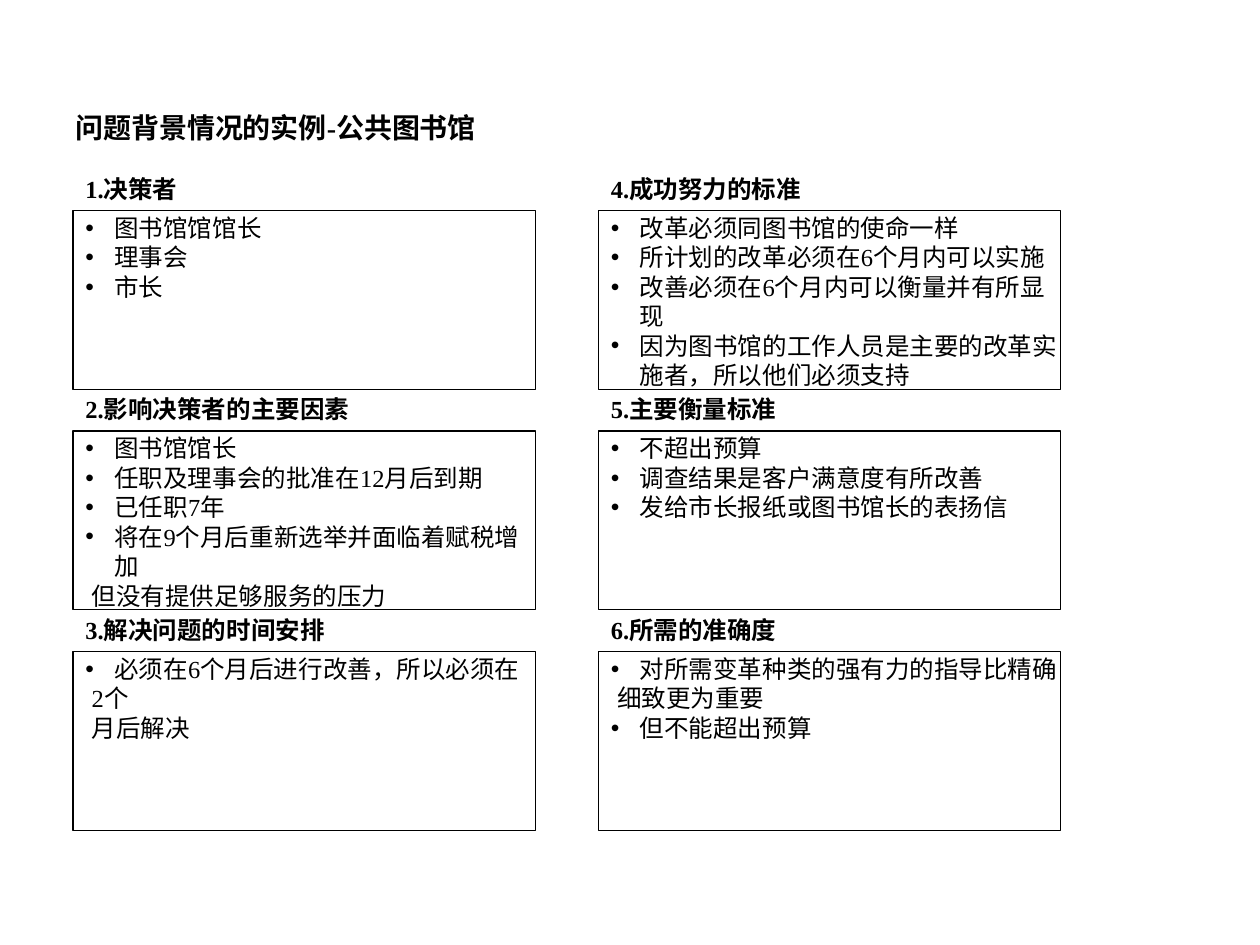
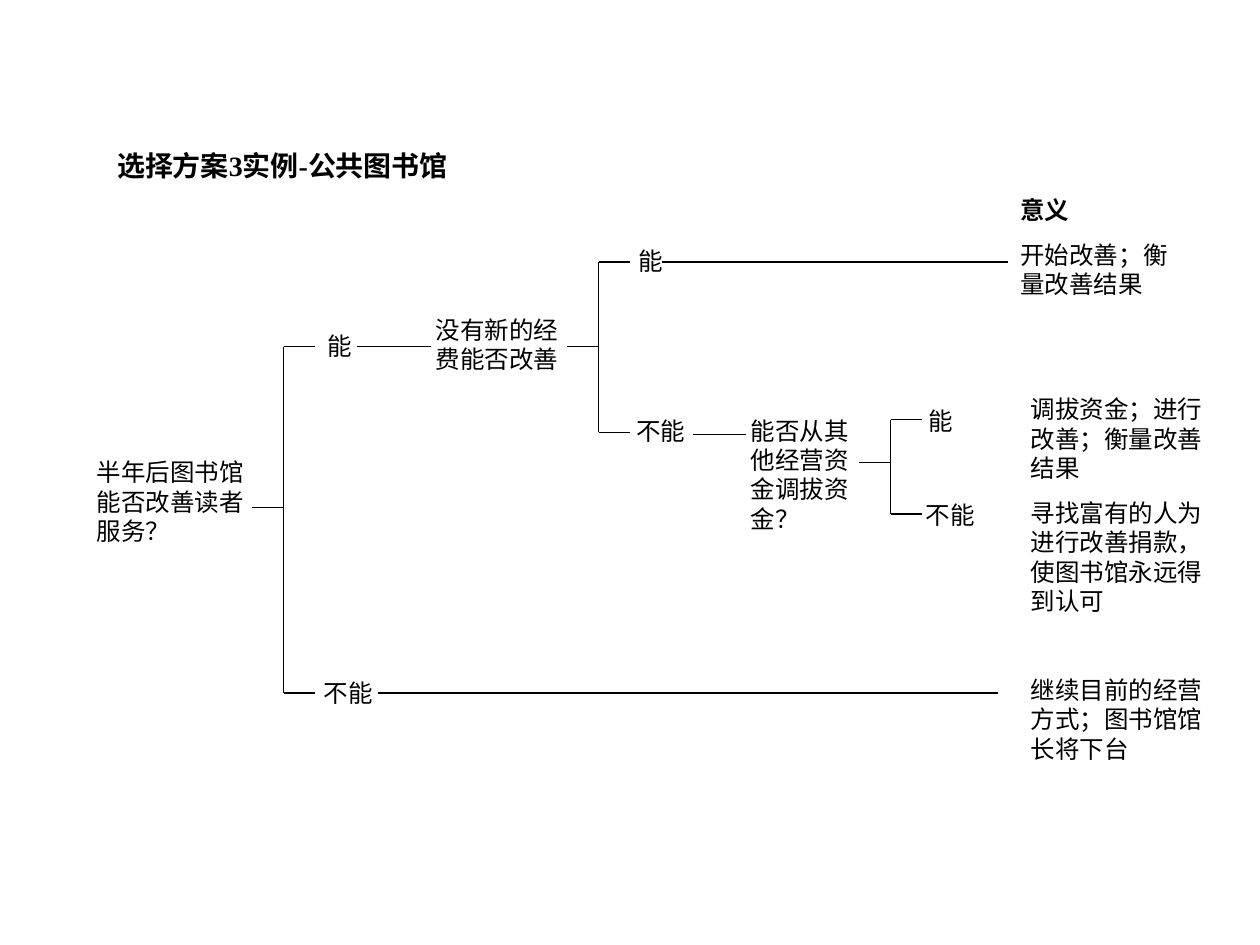
import pptx
import pptx.dml.color
import pptx.enum.shapes
import pptx.enum.text
import pptx.oxml.xmlchemy
import pptx.util
from lxml import etree
from pptx.oxml.ns import qn
from pptx.util import Inches

COLORS = {"ink": "000000"}
FONT = "Times New Roman"
TITLE_SIZE, TEXT_SIZE = 16, 14
LINE_WIDTH = 0.75
PARAGRAPH_GAP = 8.8


class Deck:
    """Holds the shared style and the current slide."""

    def __init__(self):
        self.prs = pptx.Presentation()
        self.prs.slide_width, self.prs.slide_height = Inches(10), Inches(7.5)
        self.ink = pptx.dml.color.RGBColor.from_string(COLORS["ink"])

    def style(self, p, size=TEXT_SIZE, bold=False):
        p.alignment = pptx.enum.text.PP_ALIGN.LEFT
        for r in p.runs:
            r.font.name, r.font.size, r.font.bold = FONT, pptx.util.Pt(size), bold
            r.font.color.rgb = self.ink

    def frame(self, sp):
        tf = sp.text_frame
        tf.word_wrap = True
        tf.auto_size = pptx.enum.text.MSO_AUTO_SIZE.NONE
        tf.vertical_anchor = pptx.enum.text.MSO_ANCHOR.TOP
        return tf

    def slide(self, title, x, y, w):
        self.s = self.prs.slides.add_slide(self.prs.slide_layouts[5])
        sp = self.s.shapes.title
        sp.left, sp.top, sp.width, sp.height = Inches(x), Inches(y), Inches(w), Inches(0.37)
        tf = self.frame(sp)
        tf.text = title
        self.style(tf.paragraphs[0], TITLE_SIZE, True)

    def text(self, x, y, w, h, *lines, bold=False, gaps=()):
        """Text box; the first line is bold if asked, gaps go before later lines."""
        sp = self.s.shapes.add_textbox(Inches(x), Inches(y), Inches(w), Inches(h))
        tf = self.frame(sp)
        tf.text = "\n".join(lines)
        for i, p in enumerate(tf.paragraphs):
            self.style(p, bold=bold and i == 0)
        for p, gap in zip(tf.paragraphs[1:], gaps):
            p.space_before = pptx.util.Pt(gap)
        return sp

    def list_box(self, x, y, w, h, items):
        """Outlined box of (text, has bullet) items."""
        sp = self.s.shapes.add_shape(pptx.enum.shapes.MSO_SHAPE.RECTANGLE,
                                     Inches(x), Inches(y), Inches(w), Inches(h))
        sp.shadow.inherit = False
        sp.fill.background()
        sp.line.color.rgb, sp.line.width = self.ink, pptx.util.Pt(LINE_WIDTH)
        tf = self.frame(sp)
        tf.margin_top = tf.margin_right = Inches(0.02)
        tf.margin_bottom = 0
        tf.text = "\n".join(text for text, _ in items)
        for p, (_, bullet) in zip(tf.paragraphs, items):
            pPr = p._p.get_or_add_pPr()
            if bullet:
                pPr.set("marL", str(Inches(0.23)))
                pPr.set("indent", str(-Inches(0.23)))
                etree.SubElement(pPr, qn("a:buFont"), typeface="Arial")
                etree.SubElement(pPr, qn("a:buChar"), char="•")
            else:
                pPr.set("marL", str(Inches(0.05)))
            self.style(p)

    def line(self, x1, y1, x2, y2):
        c = self.s.shapes.add_connector(pptx.enum.shapes.MSO_CONNECTOR.STRAIGHT,
                                        Inches(x1), Inches(y1), Inches(x2), Inches(y2))
        c.line.color.rgb, c.line.width = self.ink, pptx.util.Pt(LINE_WIDTH)
        etree.SubElement(c._element.spPr, qn("a:effectLst"))
        return c

    def fork(self, x, middle, top, bottom, stub=0.25):
        """Bracket with one stub in and two out; returns the upper one."""
        self.line(x, top, x, bottom)
        self.line(x - stub, middle, x, middle)
        self.line(x, bottom, x + stub, bottom)
        return self.line(x, top, x + stub, top)


# Sections run down the left column, then the right one
SECTIONS = [
    ("1.决策者", [("图书馆馆馆长", True), ("理事会", True), ("市长", True)]),
    ("2.影响决策者的主要因素", [
        ("图书馆馆长", True),
        ("任职及理事会的批准在12月后到期", True),
        ("已任职7年", True),
        ("将在9个月后重新选举并面临着赋税增加", True),
        ("但没有提供足够服务的压力", False)]),
    ("3.解决问题的时间安排", [
        ("必须在6个月后进行改善，所以必须在", True),
        ("2个", False),
        ("月后解决", False)]),
    ("4.成功努力的标准", [
        ("改革必须同图书馆的使命一样", True),
        ("所计划的改革必须在6个月内可以实施", True),
        ("改善必须在6个月内可以衡量并有所显现", True),
        ("因为图书馆的工作人员是主要的改革实施者，所以他们必须支持", True)]),
    ("5.主要衡量标准", [
        ("不超出预算", True),
        ("调查结果是客户满意度有所改善", True),
        ("发给市长报纸或图书馆长的表扬信", True)]),
    ("6.所需的准确度", [
        ("对所需变革种类的强有力的指导比精确", True),
        ("细致更为重要", False),
        ("但不能超出预算", True)]),
]


def build_background(deck):
    deck.slide("问题背景情况的实例-公共图书馆", 0.5, 0.83, 5.83)
    for i, (heading, items) in enumerate(SECTIONS):
        column, row = divmod(i, 3)
        x, y = 0.58 + 4.17 * column, 1.33 + 1.75 * row
        deck.text(x, y, 3, 0.34, heading, bold=True)
        deck.list_box(x, y + 0.34, 3.67, 1.42, items)


def build_decision_tree(deck):
    deck.slide("选择方案3实例-公共图书馆", 0.83, 1.13, 5)

    # Questions
    deck.text(0.67, 3.58, 1.42, 0.8, "半年后图书馆能否改善读者服务？")
    deck.text(3.36, 2.45, 1.25, 0.57, "没有新的经费能否改善")
    deck.text(5.86, 3.25, 1.17, 1.04, "能否从其他经营资金调拔资金？")

    # Answers
    first_yes = deck.text(2.5, 2.58, 0.75, 0.34, "能")
    for x, y, w, answer in [(2.47, 5.33, 0.92, "不能"),
                            (4.97, 1.9, 0.58, "能"), (4.95, 3.25, 0.67, "不能"),
                            (7.27, 3.17, 0.67, "能"), (7.25, 3.92, 0.75, "不能")]:
        deck.text(x, y, w, 0.34, answer)

    # Branches
    deck.fork(2.25, 4.03, 2.75, 5.5).end_connect(first_yes, 1)
    deck.fork(4.75, 2.75, 2.08, 3.43)
    deck.fork(7.07, 3.67, 3.33, 4.08)
    for x1, x2, y in [(2.83, 3.42, 2.75), (5.5, 5.92, 3.45),
                      (3, 7.92, 5.5), (5.25, 8, 2.08)]:
        deck.line(x1, y, x2, y)

    # Outcomes
    deck.text(8, 1.5, 1.42, 0.92, "意义", "开始改善；衡量改善结果",
              bold=True, gaps=[PARAGRAPH_GAP])
    deck.text(8.08, 3.08, 1.58, 3.04, "调拔资金；进行改善；衡量改善结果",
              "寻找富有的人为进行改善捐款，使图书馆永远得到认可",
              "继续目前的经营方式；图书馆馆长将下台", gaps=[PARAGRAPH_GAP, 34])


def main():
    deck = Deck()
    build_background(deck)
    build_decision_tree(deck)
    deck.prs.save("out.pptx")


if __name__ == "__main__":
    main()
